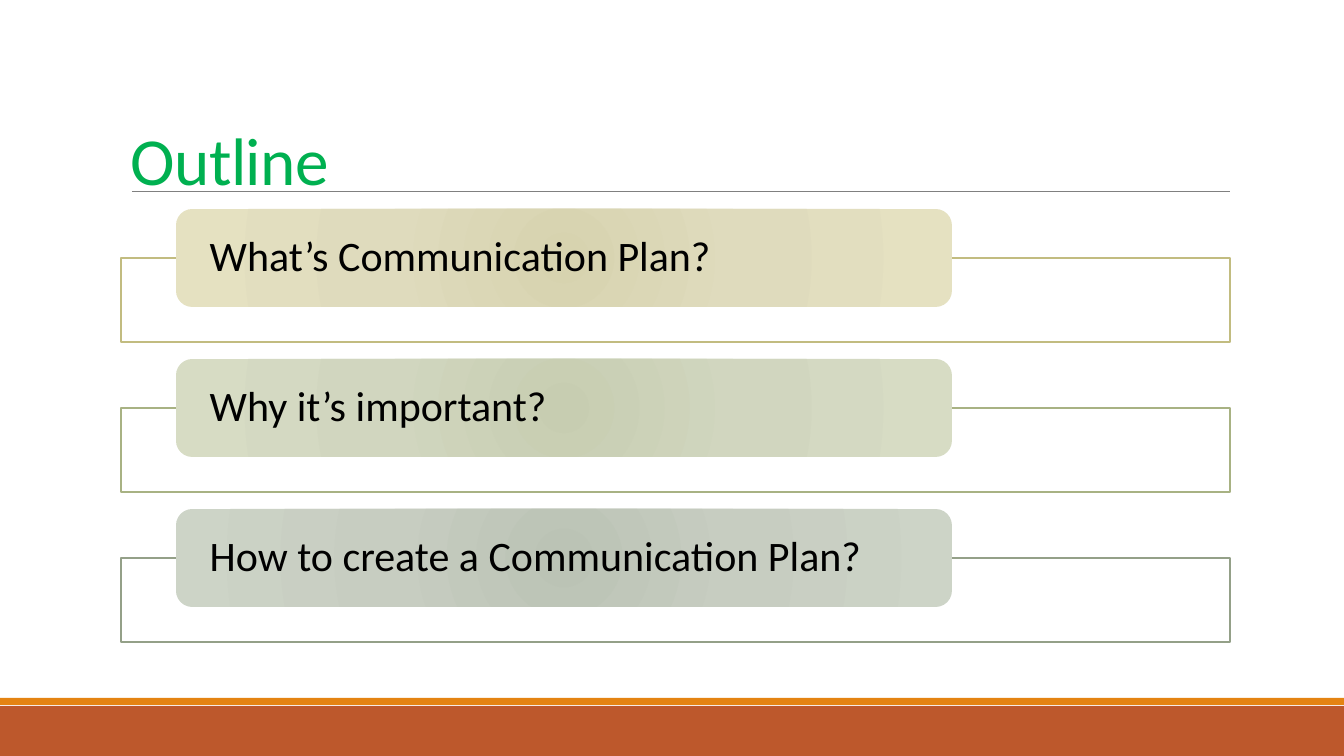
"""Build the outline slide of a communication plan deck."""
from lxml import etree
from pptx import Presentation
from pptx.dml.color import RGBColor
from pptx.enum.shapes import MSO_CONNECTOR, MSO_SHAPE
from pptx.enum.text import MSO_ANCHOR, MSO_AUTO_SIZE, PP_ALIGN
from pptx.oxml import parse_xml
from pptx.oxml.ns import nsdecls, qn
from pptx.util import Pt

RECT, ROUNDED = MSO_SHAPE.RECTANGLE, MSO_SHAPE.ROUNDED_RECTANGLE
STRAIGHT = MSO_CONNECTOR.STRAIGHT
MIDDLE, BOTTOM = MSO_ANCHOR.MIDDLE, MSO_ANCHOR.BOTTOM
LEFT = PP_ALIGN.LEFT
NO_FIT = MSO_AUTO_SIZE.NONE

EMU_PER_PX = 914400 / 100.8
COLORS = {
    "title": "00B050",
    "text": "000000",
    "paper": "FFFFFF",
    "rule": "808080",
    "footer": "BD582C",
    "footer_edge": "E48312",
}
TOPICS = [
    ("What’s Communication Plan?", "C2BC80", ("D7D3AF", "DFDBBD", "E5E1C1")),
    ("Why it’s important?", "A8B283", ("C7CDB1", "D1D6BF", "D7DCC4")),
    ("How to create a Communication Plan?", "94A088", ("BBC3B5", "C7CDC1", "CDD4C7")),
]
STOPS = (0, 45, 100)
TOPIC_TOP, TOPIC_PITCH = 209, 150


def px(*lengths):
    return [round(length * EMU_PER_PX) for length in lengths]


def rgb(color):
    return RGBColor.from_string(color)


def write(shape, text, *, size, color, anchor, spacing, inset, tracking=0):
    frame = shape.text_frame
    frame.word_wrap = True
    frame.auto_size = NO_FIT
    frame.vertical_anchor = anchor
    frame.margin_left, frame.margin_right = px(inset, inset)
    paragraph = frame.paragraphs[0]
    paragraph.alignment = LEFT
    paragraph.line_spacing = spacing
    run = paragraph.add_run()
    run.text = text
    run.font.name = "Calibri"
    run.font.size = Pt(size)
    run.font.color.rgb = rgb(color)
    if tracking:
        run.font._element.set("spc", str(tracking))


def add_box(slide, kind, bounds, fill=None, line=None):
    box = slide.shapes.add_shape(kind, *px(*bounds))
    box.shadow.inherit = False
    if fill:
        box.fill.solid()
        box.fill.fore_color.rgb = rgb(fill)
    else:
        box.fill.background()
    if line:
        box.line.color.rgb = rgb(line)
        box.line.width = Pt(1)
    else:
        box.line.fill.background()
    return box


def set_radial_fill(shape, shades):
    stops = "".join(
        f'<a:gs pos="{stop * 1000}"><a:srgbClr val="{shade}"/></a:gs>'
        for stop, shade in zip(STOPS, shades)
    )
    gradient = parse_xml(
        f'<a:gradFill {nsdecls("a")} rotWithShape="1"><a:gsLst>{stops}</a:gsLst>'
        '<a:path path="circle"><a:fillToRect l="100000" t="100000" r="100000" '
        'b="100000"/></a:path></a:gradFill>'
    )
    properties = shape._element.spPr
    properties.replace(properties.find(qn("a:noFill")), gradient)


def add_rule(slide, left, right, y):
    rule = slide.shapes.add_connector(STRAIGHT, *px(left, y, right, y))
    rule.line.color.rgb = rgb(COLORS["rule"])
    rule.line.width = Pt(0.5)
    etree.SubElement(rule._element.spPr, qn("a:effectLst"))


def add_title(slide, text):
    title = slide.shapes.title
    title.left, title.top, title.width, title.height = px(121, 131, 1109, 73)
    write(title, text, size=48, color=COLORS["title"], anchor=BOTTOM,
          spacing=0.85, inset=10, tracking=-50)


def add_topic(slide, top, text, outline, shades):
    frame = add_box(slide, RECT, (121, top + 49, 1109, 84), COLORS["paper"], outline)
    color = frame._element.spPr.find(qn("a:solidFill"))[0]
    etree.SubElement(color, qn("a:alpha"), val="90000")
    card = add_box(slide, ROUNDED, (176, top, 776, 98))
    set_radial_fill(card, shades)
    write(card, text, size=30, color=COLORS["text"], anchor=MIDDLE,
          spacing=0.9, inset=29)


def main():
    deck = Presentation()
    deck.slide_width, deck.slide_height = px(1344, 756)
    slide = deck.slides.add_slide(deck.slide_layouts[5])
    add_box(slide, RECT, (0, 706, 1344, 50), COLORS["footer"])
    add_box(slide, RECT, (0, 698, 1344, 7), COLORS["footer_edge"])
    add_rule(slide, 132, 1230, 191)
    add_title(slide, "Outline")
    for index, topic in enumerate(TOPICS):
        add_topic(slide, TOPIC_TOP + index * TOPIC_PITCH, *topic)
    deck.save("out.pptx")


if __name__ == "__main__":
    main()
